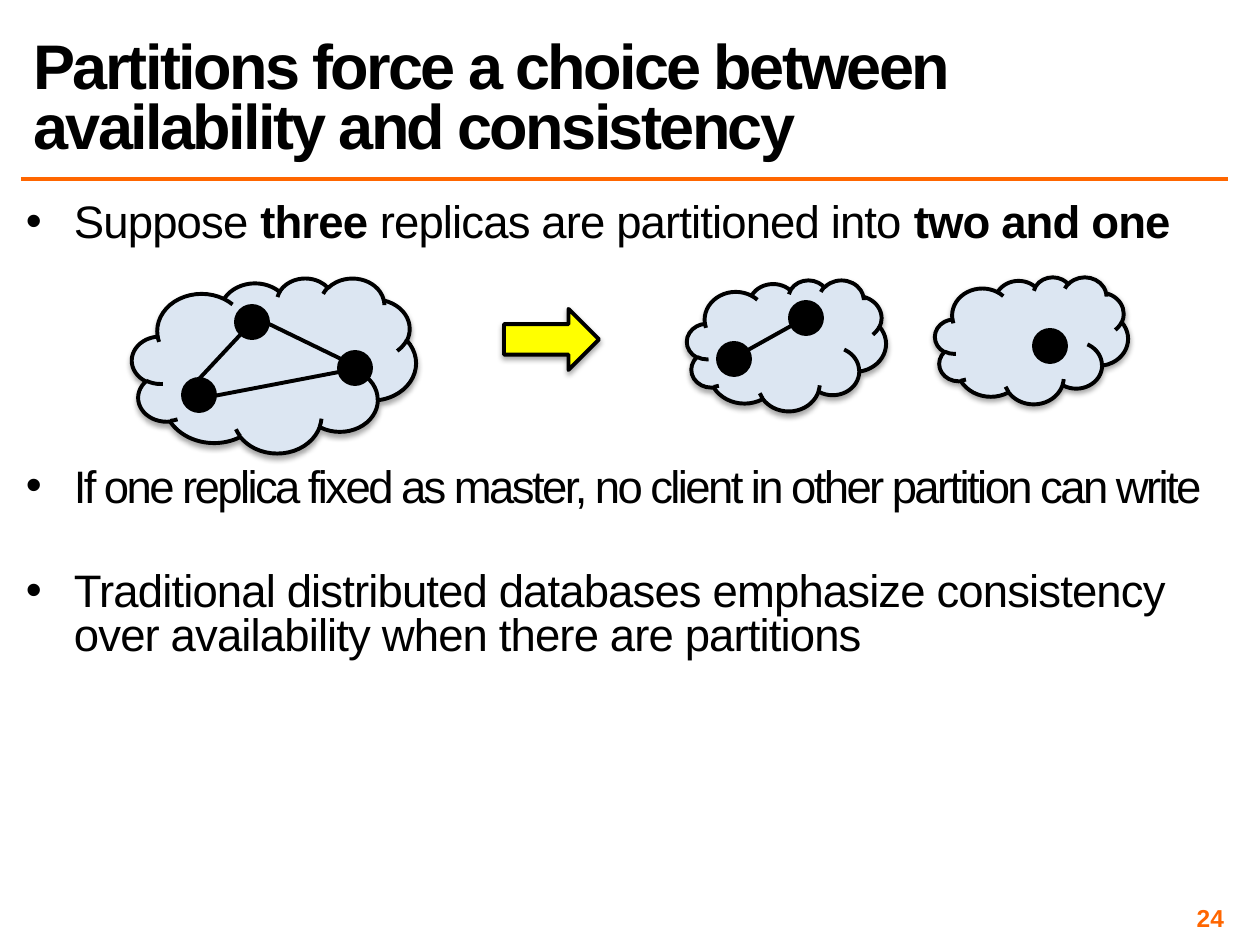
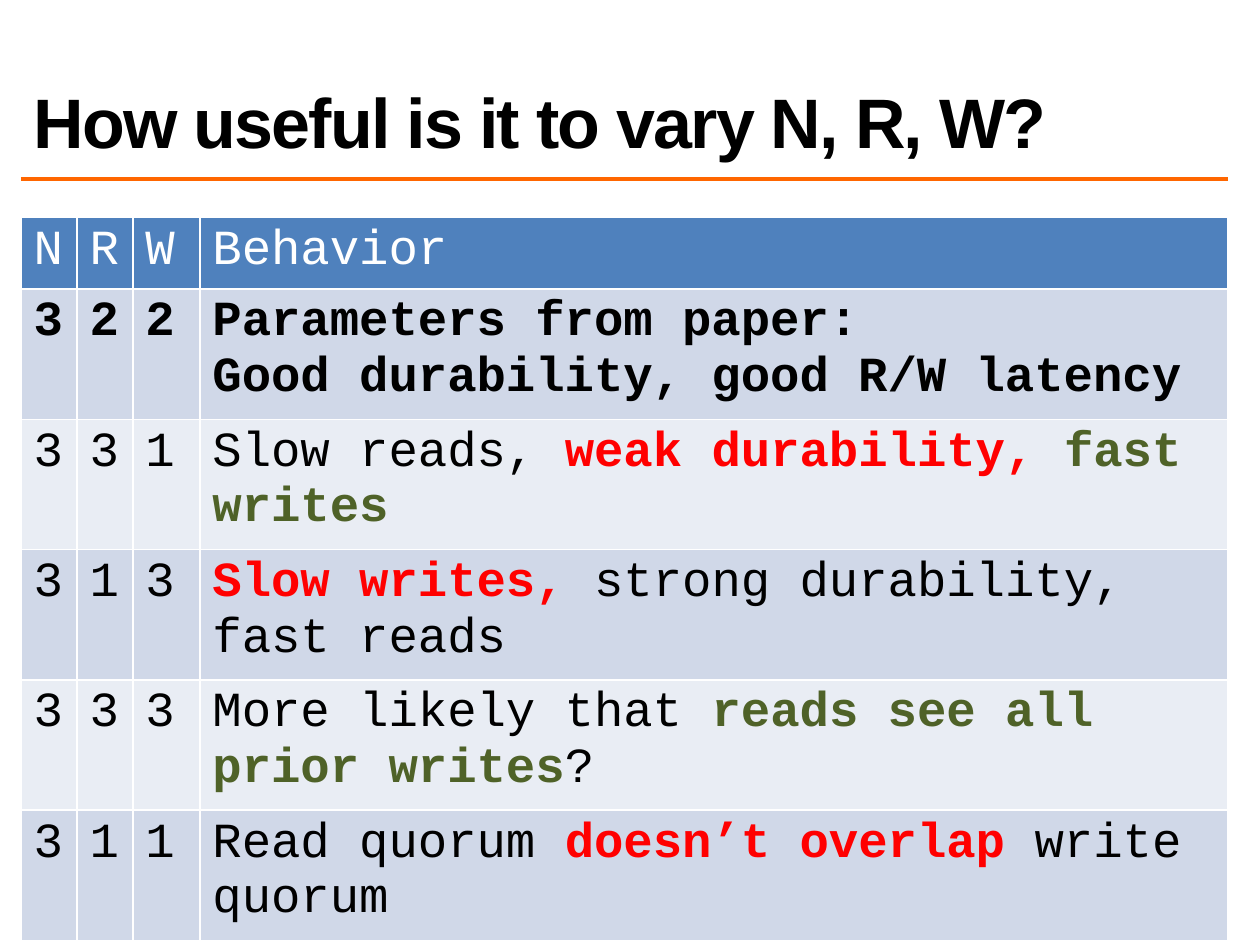
import pptx
import pptx.util
import pptx.dml.color
import pptx.oxml
import pptx.oxml.ns
import pptx.enum.shapes
import pptx.enum.text

SCALE = 914400 / 126
NS = 'xmlns:a="http://schemas.openxmlformats.org/drawingml/2006/main"'
SHAPE = pptx.enum.shapes.MSO_SHAPE
ANCHOR = pptx.enum.text.MSO_ANCHOR
ALIGN = pptx.enum.text.PP_ALIGN

BLACK, WHITE, ORANGE = "000000", "FFFFFF", "FF6600"
CLOUD_BLUE, ARROW_YELLOW = "DCE6F2", "FFFF00"
HEADER_BLUE, BANDS = "4F81BD", ("D0D8E8", "E9EDF4")
RED, GREEN = "FF0000", "4F6228"
LEFT, WIDTH = 21, 1207
REPLICA_SIZE = 32

BULLETS = [
    (0, -0.5, [("Suppose ", False), ("three", True),
               (" replicas are partitioned into ", False), ("two and one", True)]),
    (126, -1.5, [("If one replica fixed as master, no client in other partition can write", False)]),
    (35, -0.5, [("Traditional distributed databases emphasize consistency "
                 "over availability when there are partitions", False)]),
]

CLUSTERS = [
    ((132, 278, 284, 175), [(51, 101), (104, 28), (207, 74)],
     [(67, 101, 109, 56), (82, 118, 207, 94), (135, 45, 209, 81)]),
    ((687, 280, 199, 131), [(31, 63), (103, 22)], [(61, 70, 104, 46)]),
    ((935, 277, 193, 127), [(99, 53)], []),
]

QUORUMS = [
    ("322", [[("Parameters from paper:", BLACK, True)],
             [("Good durability, good R/W latency", BLACK, True)]]),
    ("331", [[("Slow reads, ", BLACK, False), ("weak durability, ", RED, True),
              ("fast writes", GREEN, True)]]),
    ("313", [[("Slow writes, ", RED, True), ("strong durability, fast reads", BLACK, False)]]),
    ("333", [[("More likely that ", BLACK, False), ("reads see all prior writes", GREEN, True),
              ("?", BLACK, False)]]),
    ("311", [[("Read quorum ", BLACK, False), ("doesn’t overlap ", RED, True),
              ("write quorum", BLACK, False)]]),
]


def px(length):
    return pptx.util.Emu(round(length * SCALE))


def rgb(color):
    return pptx.dml.color.RGBColor.from_string(color)


def xml(markup):
    return pptx.oxml.parse_xml(markup.format(ns=NS))


def add_run(paragraph, text, size, color=BLACK, bold=False, font="Arial", spacing=0):
    run = paragraph.add_run()
    run.text = text
    run.font.name = font
    run.font.size = pptx.util.Pt(size)
    run.font.bold = bold
    run.font.color.rgb = rgb(color)
    if spacing:
        run.font._element.set("spc", str(round(spacing * 100)))


def add_text_frame(slide, box, anchor, inset=None):
    frame = slide.shapes.add_textbox(*map(px, box)).text_frame
    frame.word_wrap = True
    frame.vertical_anchor = anchor
    if inset is not None:
        frame.margin_left = frame.margin_right = px(inset)
        frame.margin_top = frame.margin_bottom = px(inset)
    return frame


def add_outlined(slide, preset, box, fill, shadow=False):
    shape = slide.shapes.add_shape(preset, *map(px, box))
    shape.shadow.inherit = False
    shape.fill.solid()
    shape.fill.fore_color.rgb = rgb(fill)
    shape.line.color.rgb = rgb(BLACK)
    shape.line.width = pptx.util.Pt(2.25)
    if shadow:
        effects = shape._element.spPr.find(pptx.oxml.ns.qn("a:effectLst"))
        effects.append(xml(
            '<a:outerShdw {ns} blurRad="40000" dist="23000" dir="5400000" rotWithShape="0">'
            '<a:srgbClr val="000000"><a:alpha val="35000"/></a:srgbClr></a:outerShdw>'))


def add_line(slide, ends, color, width):
    line = slide.shapes.add_connector(
        pptx.enum.shapes.MSO_CONNECTOR.STRAIGHT, *map(px, ends))
    line.line.color.rgb = rgb(color)
    line.line.width = pptx.util.Pt(width)
    line._element.spPr.append(xml("<a:effectLst {ns}/>"))


def add_frame(deck, title, size, spacing, number):
    slide = deck.slides.add_slide(deck.slide_layouts[6])
    add_line(slide, (LEFT, 179, LEFT + WIDTH, 179), ORANGE, 2)
    heading = add_text_frame(slide, (LEFT, 21, WIDTH, 147), ANCHOR.BOTTOM).paragraphs[0]
    heading.line_spacing = 0.8
    add_run(heading, title, size, bold=True, spacing=spacing)
    footer = add_text_frame(slide, (935, 903, 294, 29), ANCHOR.MIDDLE, 5).paragraphs[0]
    footer.alignment = ALIGN.RIGHT
    add_run(footer, number, 14, ORANGE, True)
    return slide


def add_bullets(slide, box):
    frame = add_text_frame(slide, box, ANCHOR.TOP, 5)
    for index, (gap, spacing, parts) in enumerate(BULLETS):
        bullet = frame.add_paragraph() if index else frame.paragraphs[0]
        properties = bullet._p.get_or_add_pPr()
        properties.set("marL", str(px(48)))
        properties.set("indent", str(px(-48)))
        properties.append(xml('<a:buFont {ns} typeface="Arial"/>'))
        properties.append(xml('<a:buChar {ns} char="•"/>'))
        bullet.line_spacing = 0.8
        bullet.space_before = pptx.util.Pt(gap)
        for text, bold in parts:
            add_run(bullet, text, 26, bold=bold, spacing=spacing)


def add_cluster(slide, box, replicas, links):
    left, top = box[:2]
    add_outlined(slide, SHAPE.CLOUD, box, CLOUD_BLUE, shadow=True)
    for x, y in replicas:
        add_outlined(slide, SHAPE.OVAL, (left + x, top + y, REPLICA_SIZE, REPLICA_SIZE), BLACK)
    for x1, y1, x2, y2 in links:
        add_line(slide, (left + x1, top + y1, left + x2, top + y2), BLACK, 2.25)


def fill_cell(cell, paragraphs, fill):
    cell.fill.solid()
    cell.fill.fore_color.rgb = rgb(fill)
    for index, parts in enumerate(paragraphs):
        paragraph = cell.text_frame.add_paragraph() if index else cell.text_frame.paragraphs[0]
        for text, color, bold in parts:
            add_run(paragraph, text, 28, color, bold, "Courier New")
    properties = cell._tc.get_or_add_tcPr()
    for position, side in enumerate(("lnL", "lnR", "lnT", "lnB")):
        properties.insert(position, xml(
            f'<a:{side} {{ns}} w="12700"><a:solidFill><a:srgbClr val="{WHITE}"/>'
            f'</a:solidFill></a:{side}>'))


def add_quorum_table(slide, left, top):
    widths = (56, 56, 67, 1028)
    heights = [72] + [123] * len(QUORUMS)
    table = slide.shapes.add_table(
        len(heights), len(widths), px(left), px(top), px(sum(widths)), px(sum(heights))).table
    for column, width in zip(table.columns, widths):
        column.width = px(width)
    for row, height in zip(table.rows, heights):
        row.height = px(height)
    for column, label in enumerate(("N", "R", "W", "Behavior")):
        fill_cell(table.cell(0, column), [[(label, WHITE, False)]], HEADER_BLUE)
    for row, (settings, behavior) in enumerate(QUORUMS, 1):
        fill = BANDS[(row - 1) % 2]
        for column, value in enumerate(settings):
            fill_cell(table.cell(row, column), [[(value, BLACK, row == 1)]], fill)
        fill_cell(table.cell(row, 3), behavior, fill)


def build_partitions(deck):
    slide = add_frame(
        deck, "Partitions force a choice between availability and consistency", 36, -1.5, "24")
    add_bullets(slide, (LEFT, 199, WIDTH, 693))
    for box, replicas, links in CLUSTERS:
        add_cluster(slide, box, replicas, links)
    add_outlined(slide, SHAPE.RIGHT_ARROW, (504, 309, 95, 61), ARROW_YELLOW, shadow=True)


def build_quorums(deck):
    slide = add_frame(deck, "How useful is it to vary N, R, W?", 40, -1, "45")
    add_quorum_table(slide, LEFT, 217)


def main():
    deck = pptx.Presentation()
    deck.slide_width, deck.slide_height = px(1260), px(945)
    build_partitions(deck)
    build_quorums(deck)
    deck.save("out.pptx")


if __name__ == "__main__":
    main()
